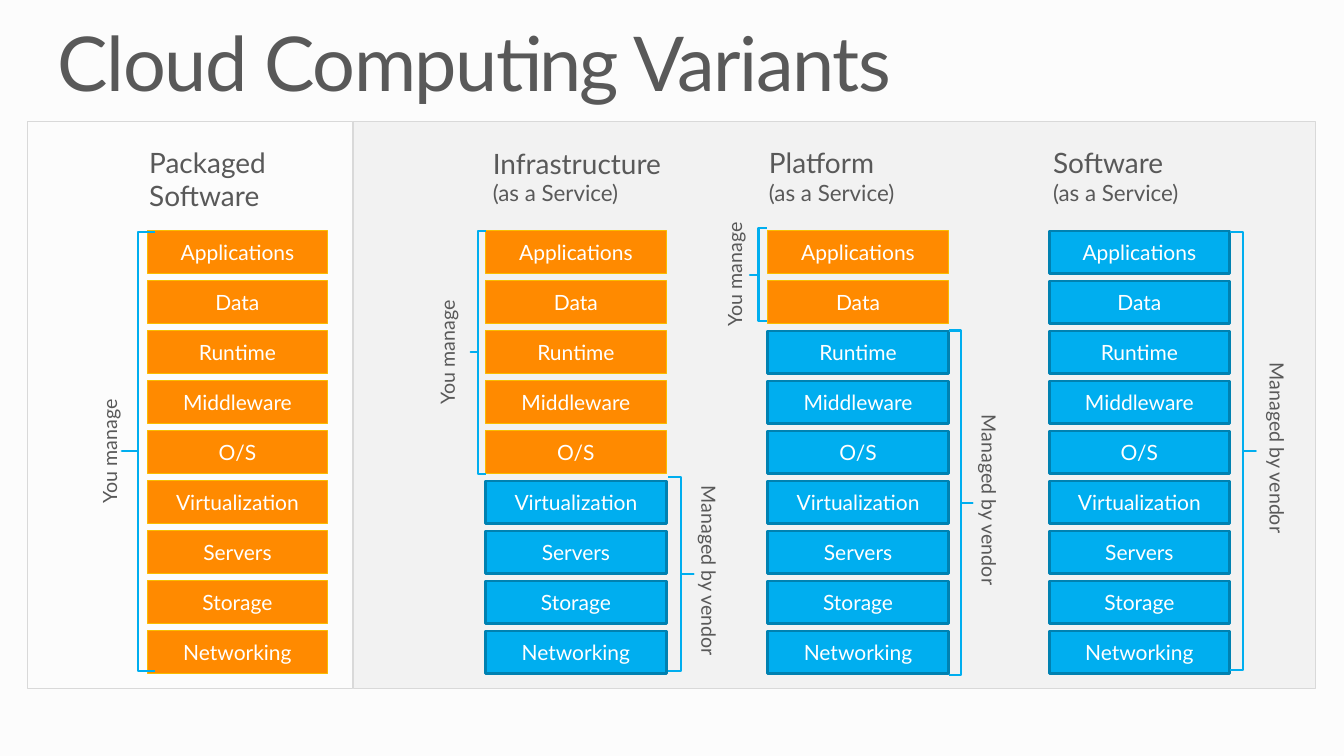
from dataclasses import dataclass

from pptx import Presentation
from pptx.dml.color import RGBColor
from pptx.enum.shapes import MSO_SHAPE
from pptx.enum.text import MSO_ANCHOR, MSO_AUTO_SIZE, PP_ALIGN
from pptx.util import Cm, Pt

RECTANGLE, BRACE = MSO_SHAPE.RECTANGLE, MSO_SHAPE.LEFT_BRACE
LEFT, CENTER = PP_ALIGN.LEFT, PP_ALIGN.CENTER
TOP, MIDDLE = MSO_ANCHOR.TOP, MSO_ANCHOR.MIDDLE
FIT_SHAPE, NO_FIT = MSO_AUTO_SIZE.SHAPE_TO_FIT_TEXT, MSO_AUTO_SIZE.NONE


@dataclass(frozen=True)
class Theme:
    font: str = "Lato"
    background: str = "FCFCFC"
    panel: str = "F2F2F2"
    panel_line: str = "D9D9D9"
    text: str = "595959"
    bar_text: str = "FFFFFF"
    you: str = "FF8A00"
    you_line: str = "F9BC00"
    vendor: str = "00AEEF"
    vendor_line: str = "0081B1"
    title_size: float = 54
    heading_size: float = 20
    subheading_size: float = 16
    bar_size: float = 15
    label_size: float = 14
    thin: float = 0.75
    brace_width: float = 1.5
    vendor_width: float = 2


@dataclass(frozen=True)
class Box:
    """A rectangle on the slide, in centimetres."""
    left: float
    top: float
    width: float
    height: float

    def lengths(self):
        return Cm(self.left), Cm(self.top), Cm(self.width), Cm(self.height)


@dataclass(frozen=True)
class Bracket:
    """A brace and its label; on the left for you, on the right for the vendor."""
    by_vendor: bool
    brace: Box
    label_left: float


@dataclass(frozen=True)
class Variant:
    heading: tuple
    heading_box: Box
    stack_left: float
    managed_by_you: int
    brackets: tuple


THEME = Theme()
LAYERS = ("Applications", "Data", "Runtime", "Middleware", "O/S",
          "Virtualization", "Servers", "Storage", "Networking")
STACK_TOP, STACK_WIDTH, STACK_HEIGHT = 5.82, 4.55, 11.15
BAR_HEIGHT = 1.07
LABEL_WIDTH = 1.12
SERVICE = "(as a Service)"
PANELS = ((Box(8.92, 3.07, 24.23, 14.27), THEME.panel),
          (Box(0.69, 3.07, 8.2, 14.27), None))
VARIANTS = (
    Variant(("Packaged Software",), Box(3.76, 3.66, 5.18, 1.78), 3.71, 9,
            (Bracket(False, Box(3.07, 5.84, 0.84, 11.07), 2.21),)),
    Variant(("Infrastructure", SERVICE), Box(12.42, 3.68, 5.4, 1.78), 12.24, 5,
            (Bracket(False, Box(11.86, 5.82, 0.38, 6.12), 10.72),
             Bracket(True, Box(16.84, 12.01, 0.64, 4.9), 17.3))),
    Variant(("Platform", SERVICE), Box(19.38, 3.66, 5.1, 1.78), 19.35, 2,
            (Bracket(False, Box(18.9, 5.74, 0.43, 2.36), 17.96),
             Bracket(True, Box(23.93, 8.33, 0.58, 8.69), 24.36))),
    Variant(("Software", SERVICE), Box(26.54, 3.66, 5.1, 1.78), 26.44, 0,
            (Bracket(True, Box(31.01, 5.84, 0.64, 11.05), 31.62),)),
)


def color(code):
    return RGBColor.from_string(code)


def prepare_frame(shape, anchor, wrap=True):
    frame = shape.text_frame
    frame.margin_left = frame.margin_right = frame.margin_top = frame.margin_bottom = 0
    frame.vertical_anchor = anchor
    frame.word_wrap = wrap
    frame.auto_size = NO_FIT
    return frame


def write(para, text, size, shade, align=LEFT):
    para.alignment = align
    span = para.add_run()
    span.text = text
    span.font.name = THEME.font
    span.font.size = Pt(size)
    span.font.color.rgb = color(shade)
    return span


def add_outlined(page, kind, box, fill, line, line_width):
    shape = page.shapes.add_shape(kind, *box.lengths())
    shape.shadow.inherit = False
    if fill:
        shape.fill.solid()
        shape.fill.fore_color.rgb = color(fill)
    else:
        shape.fill.background()
    shape.line.color.rgb = color(line)
    shape.line.width = Pt(line_width)
    return shape


def add_title(page, box, text):
    title = page.shapes.title
    title.left, title.top, title.width, title.height = box.lengths()
    para = prepare_frame(title, MIDDLE).paragraphs[0]
    para.line_spacing = 0.9
    span = write(para, text, THEME.title_size, THEME.text)
    span.font._element.set("spc", "-100")


def add_heading(page, box, lines):
    frame = prepare_frame(page.shapes.add_textbox(*box.lengths()), TOP)
    sizes = (THEME.heading_size, THEME.subheading_size)
    for index, (line, size) in enumerate(zip(lines, sizes)):
        para = frame.add_paragraph() if index else frame.paragraphs[0]
        write(para, line, size, THEME.text)


def add_stack(page, box, managed_by_you):
    """Spread the layers evenly over the box, the first ones in your colour."""
    pitch = (box.height - BAR_HEIGHT) / (len(LAYERS) - 1)
    for index, layer in enumerate(LAYERS):
        if index < managed_by_you:
            style = THEME.you, THEME.you_line, THEME.thin
        else:
            style = THEME.vendor, THEME.vendor_line, THEME.vendor_width
        bar_box = Box(box.left, box.top + index * pitch, box.width, BAR_HEIGHT)
        bar = add_outlined(page, RECTANGLE, bar_box, *style)
        para = prepare_frame(bar, MIDDLE).paragraphs[0]
        write(para, layer, THEME.bar_size, THEME.bar_text, CENTER)


def add_bracket(page, bracket):
    """Draw the brace and centre its vertical label on it."""
    box = bracket.brace
    brace = add_outlined(page, BRACE, box, None, THEME.vendor, THEME.brace_width)
    brace.adjustments[0], brace.adjustments[1] = 0, 0.5
    if bracket.by_vendor:
        brace._element.spPr.get_or_add_xfrm().set("flipH", "1")
        text, direction, height = "Managed by vendor", "eaVert", 4.7
    else:
        text, direction, height = "You manage", "vert270", 2.97
    label_top = box.top + (box.height - height) / 2
    label_box = Box(bracket.label_left, label_top, LABEL_WIDTH, height)
    label = page.shapes.add_textbox(*label_box.lengths())
    frame = prepare_frame(label, TOP, wrap=False)
    frame.margin_left = frame.margin_right = Cm(0.25)
    frame.margin_top = frame.margin_bottom = Cm(0.13)
    frame.auto_size = FIT_SHAPE
    frame._txBody.bodyPr.set("vert", direction)
    write(frame.paragraphs[0], text, THEME.label_size, THEME.text, CENTER)


def add_variant(page, variant):
    add_heading(page, variant.heading_box, variant.heading)
    stack_box = Box(variant.stack_left, STACK_TOP, STACK_WIDTH, STACK_HEIGHT)
    add_stack(page, stack_box, variant.managed_by_you)
    for bracket in variant.brackets:
        add_bracket(page, bracket)


def main():
    deck = Presentation()
    deck.slide_width, deck.slide_height = Cm(33.87), Cm(19.05)
    page = deck.slides.add_slide(deck.slide_layouts.get_by_name("Title Only"))
    page.background.fill.solid()
    page.background.fill.fore_color.rgb = color(THEME.background)
    add_title(page, Box(1.45, 0.64, 30.96, 2.08), "Cloud Computing Variants")
    for box, fill in PANELS:
        add_outlined(page, RECTANGLE, box, fill, THEME.panel_line, THEME.thin)
    for variant in VARIANTS:
        add_variant(page, variant)
    deck.save("out.pptx")


if __name__ == "__main__":
    main()
